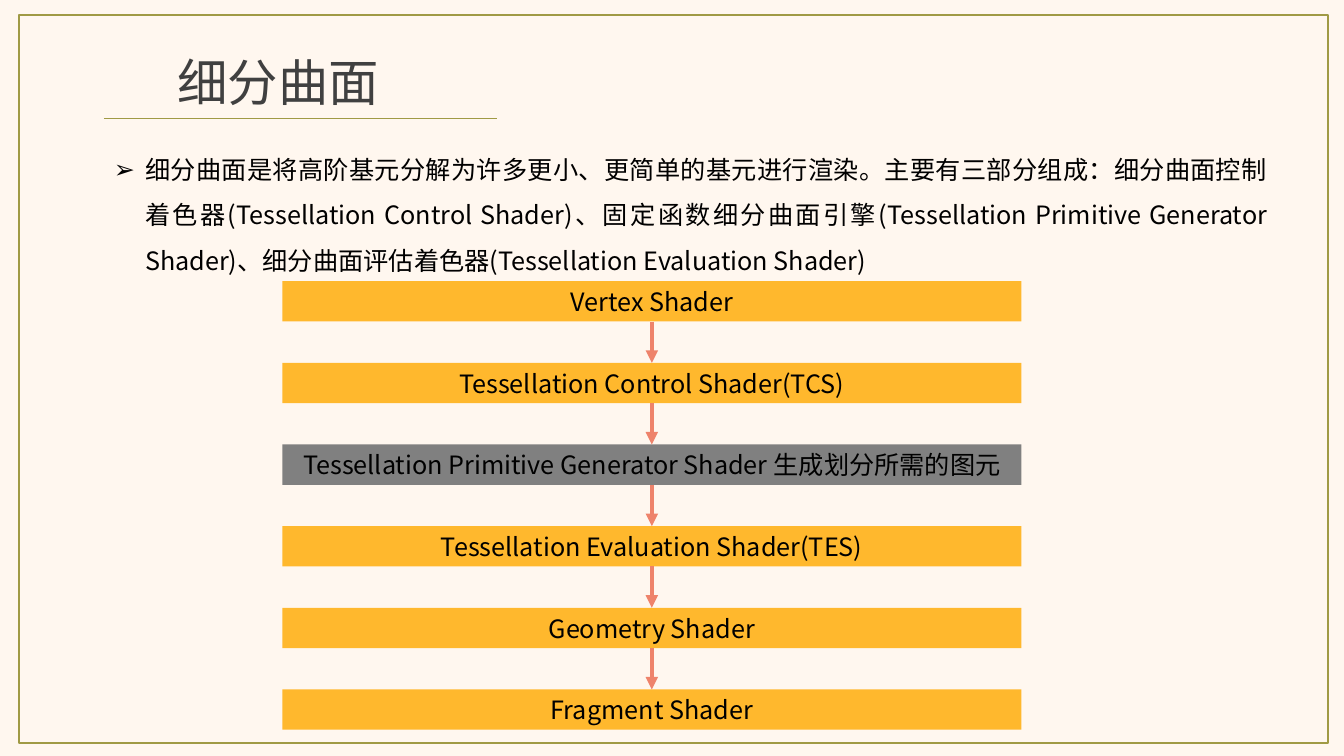
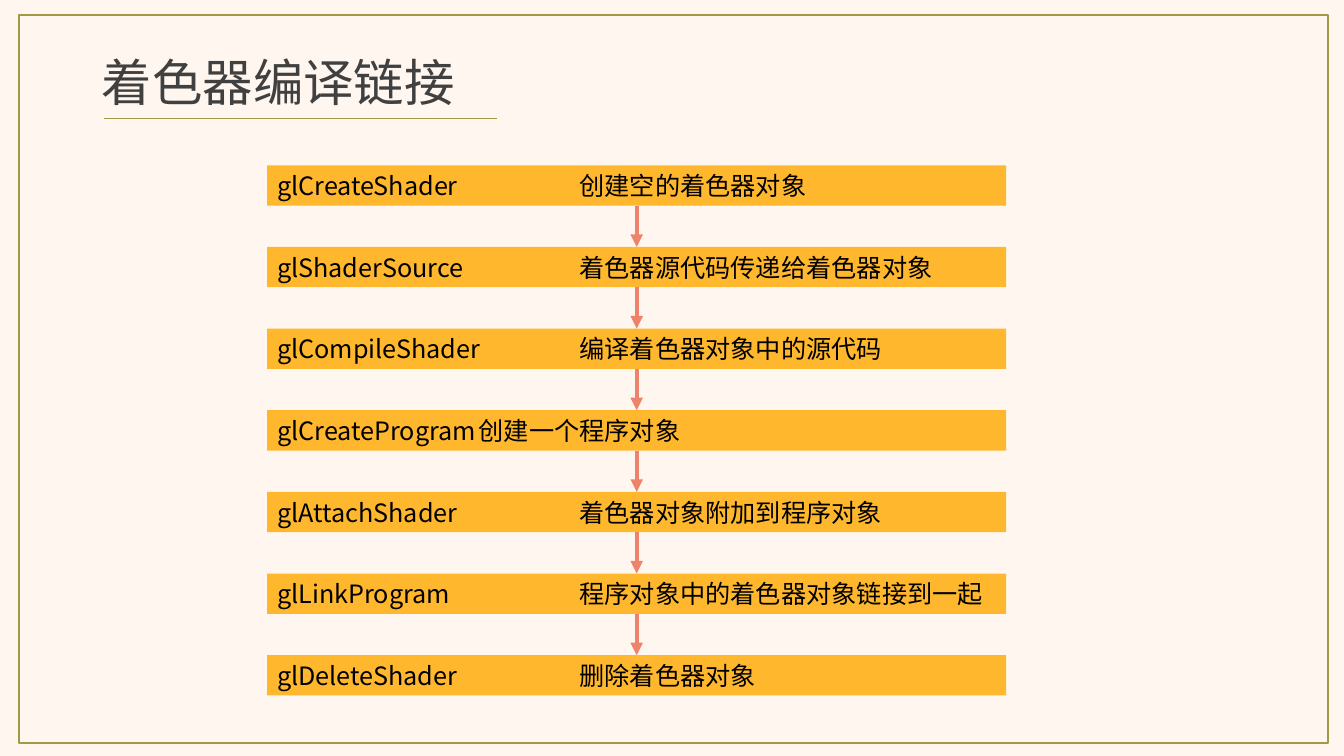
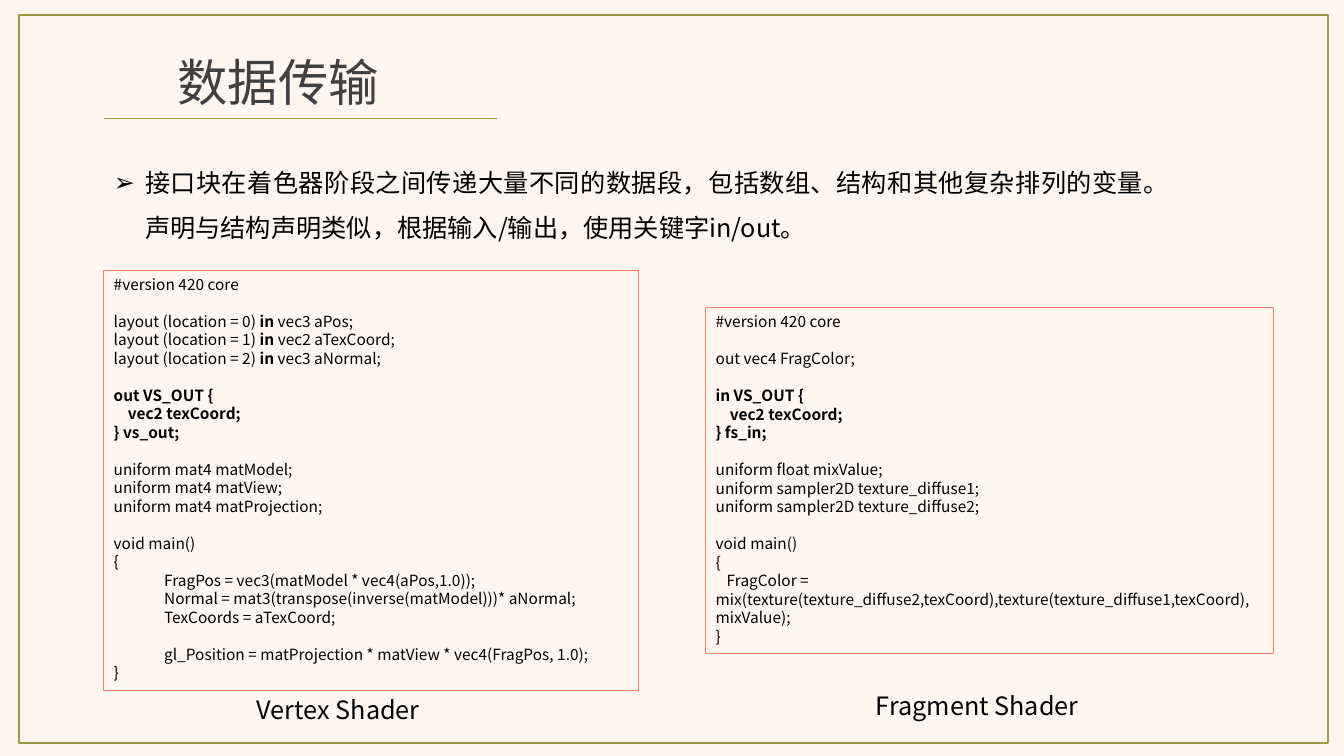
from dataclasses import dataclass

from lxml import etree
from pptx import Presentation, util as u
from pptx.dml.color import RGBColor
from pptx.enum import shapes, text
from pptx.oxml import ns


@dataclass(frozen=True)
class Theme:
    font: str = "Noto Sans CJK SC"
    background: str = "FFF7EF"
    frame: str = "A09A45"
    accent: str = "EE836B"
    step: str = "FFB82D"
    fixed_step: str = "808080"
    title: str = "404040"
    ink: str = "000000"
    title_size: float = 36
    body_size: float = 18
    code_size: float = 11
    code_gap: float = 13.2


THEME = Theme()
TITLE_ONLY, TITLE_AND_BODY = 5, 1
STEP_WIDTH, STEP_HEIGHT, STEP_PITCH = 7.33, 0.4, 0.81

PIPELINE = [
    "Vertex Shader",
    "Tessellation Control Shader(TCS)",
    "Tessellation Primitive Generator Shader 生成划分所需的图元",
    "Tessellation Evaluation Shader(TES)",
    "Geometry Shader",
    "Fragment Shader",
]

COMPILE_CALLS = [
    ("glCreateShader", "创建空的着色器对象", 3),
    ("glShaderSource", "着色器源代码传递给着色器对象", 3),
    ("glCompileShader", "编译着色器对象中的源代码", 3),
    ("glCreateProgram", "创建一个程序对象", 2),
    ("glAttachShader", "着色器对象附加到程序对象", 3),
    ("glLinkProgram", "程序对象中的着色器对象链接到一起", 3),
    ("glDeleteShader", "删除着色器对象", 3),
]

VERTEX_CODE = [
    [(0, "#version 420 core")],
    [
        (0, "layout (location = 0) **in** vec3 aPos;"),
        (0, "layout (location = 1)** in **vec2 aTexCoord;"),
        (0, "layout (location = 2) **in** vec3 aNormal;"),
    ],
    [(0, "**out VS_OUT {**"), (0.14, "**vec2 texCoord;**"), (0, "**} vs_out;**")],
    [
        (0, "uniform mat4 matModel;"),
        (0, "uniform mat4 matView;"),
        (0, "uniform mat4 matProjection;"),
    ],
    [
        (0, "void main()"),
        (0, "{"),
        (0.5, "FragPos = vec3(matModel * vec4(aPos,1.0));"),
        (0.5, "Normal = mat3(transpose(inverse(matModel)))* aNormal;"),
        (0.5, "TexCoords = aTexCoord;"),
    ],
    [
        (0.5, "gl_Position = matProjection * matView * vec4(FragPos, 1.0);"),
        (0, "}"),
    ],
]

FRAGMENT_CODE = [
    [(0, "#version 420 core")],
    [(0, "out vec4 FragColor;")],
    [(0, "**in VS_OUT {**"), (0.14, "**vec2 texCoord;**"), (0, "**} fs_in;**")],
    [
        (0, "uniform float mixValue;"),
        (0, "uniform sampler2D texture_diffuse1;"),
        (0, "uniform sampler2D texture_diffuse2;"),
    ],
    [
        (0, "void main()"),
        (0, "{"),
        (0.11, "FragColor = mix(texture(texture_diffuse2,texCoord),"
               "texture(texture_diffuse1,texCoord),mixValue);"),
        (0, "}"),
    ],
]


def color(value):
    return RGBColor.from_string(value)


def inches(*values):
    return [u.Inches(value) for value in values]


def add_run(paragraph, content, size=THEME.body_size, ink=THEME.ink, bold=False):
    run = paragraph.add_run()
    run.text = content
    run.font.size = u.Pt(size)
    run.font.bold = bold
    run.font.color.rgb = color(ink)
    run.font.name = THEME.font
    properties = run.font._element if hasattr(run.font, "_element") else run._r.get_or_add_rPr()
    etree.SubElement(properties, ns.qn("a:ea"), typeface=THEME.font)


def set_indent(paragraph, left, first):
    properties = paragraph._p.get_or_add_pPr()
    properties.set("marL", str(u.Inches(left)))
    properties.set("indent", str(u.Inches(first)))
    return properties


def set_tab(paragraph, position):
    tabs = etree.SubElement(paragraph._p.get_or_add_pPr(), ns.qn("a:tabLst"))
    etree.SubElement(tabs, ns.qn("a:tab"), pos=str(u.Inches(position)), algn="l")


def place(shape, left, top, width, height):
    shape.left, shape.top, shape.width, shape.height = inches(left, top, width, height)


def prepare_text(shape, wrap=True, anchor=text.MSO_ANCHOR.TOP):
    frame = shape.text_frame
    frame.word_wrap = wrap
    frame.auto_size = text.MSO_AUTO_SIZE.NONE
    frame.vertical_anchor = anchor
    return frame


def add_line(slide, start, end, ink, width, arrow=False):
    connector = slide.shapes.add_connector(
        shapes.MSO_CONNECTOR.STRAIGHT, *inches(*start, *end))
    connector.line.color.rgb = color(ink)
    connector.line.width = u.Pt(width)
    properties = connector.element.spPr
    if arrow:
        etree.SubElement(properties.find(ns.qn("a:ln")), ns.qn("a:tailEnd"), type="triangle")
    etree.SubElement(properties, ns.qn("a:effectLst"))


def add_box(slide, box, fill=None, line=None, width=1):
    shape = slide.shapes.add_shape(shapes.MSO_SHAPE.RECTANGLE, *inches(*box))
    shape.shadow.inherit = False
    if fill:
        shape.fill.solid()
        shape.fill.fore_color.rgb = color(fill)
    else:
        shape.fill.background()
    if line:
        shape.line.color.rgb = color(line)
        shape.line.width = u.Pt(width)
    else:
        shape.line.fill.background()
    return shape


def add_titled_slide(presentation, layout, title):
    slide = presentation.slides.add_slide(presentation.slide_layouts[layout])
    add_line(slide, (1.03, 1.17), (4.93, 1.17), THEME.frame, 0.5)
    add_box(slide, (0.19, 0.15, 12.98, 7.22), line=THEME.frame)
    place(slide.shapes.title, 0.89, 0.46, 3.74, 0.71)
    paragraph = prepare_text(slide.shapes.title, wrap=False).paragraphs[0]
    paragraph.alignment = text.PP_ALIGN.CENTER
    add_run(paragraph, title, THEME.title_size, THEME.title)
    return slide


def fill_body(slide, box, content):
    body = slide.placeholders[1]
    place(body, *box)
    paragraph = prepare_text(body).paragraphs[0]
    paragraph.alignment = text.PP_ALIGN.JUSTIFY
    paragraph.line_spacing = 1.5
    paragraph.space_before = u.Pt(0)
    properties = set_indent(paragraph, 0.31, -0.31)
    etree.SubElement(properties, ns.qn("a:buChar"), char="➢")
    add_run(paragraph, content)


def add_step(slide, left, top, fill, content, alignment, tab=None):
    shape = add_box(slide, (left, top, STEP_WIDTH, STEP_HEIGHT), fill=fill)
    paragraph = prepare_text(shape, anchor=text.MSO_ANCHOR.MIDDLE).paragraphs[0]
    paragraph.alignment = alignment
    if tab:
        set_tab(paragraph, tab)
    add_run(paragraph, content)


def step_tops(top, count):
    return [round(top + index * STEP_PITCH, 2) for index in range(count)]


def add_step_arrows(slide, left, tops):
    center = left + STEP_WIDTH / 2
    for upper, lower in zip(tops, tops[1:]):
        add_line(slide, (center, upper + STEP_HEIGHT), (center, lower),
                 THEME.accent, 3, arrow=True)


def add_code(slide, box, blocks):
    shape = add_box(slide, box, line=THEME.accent, width=0.75)
    frame = prepare_text(shape)
    lines = [(indent, code, block_index > 0 and line_index == 0)
             for block_index, block in enumerate(blocks)
             for line_index, (indent, code) in enumerate(block)]
    for index, (indent, code, starts_block) in enumerate(lines):
        paragraph = frame.add_paragraph() if index else frame.paragraphs[0]
        paragraph.alignment = text.PP_ALIGN.LEFT
        if starts_block:
            paragraph.space_before = u.Pt(THEME.code_gap)
        set_indent(paragraph, 0, indent)
        for part, piece in enumerate(code.split("**")):
            if piece:
                add_run(paragraph, piece, THEME.code_size, bold=part % 2 == 1)


def add_caption(slide, left, top, content):
    caption = slide.shapes.add_textbox(*inches(left, top, 2.47, 0.4))
    add_run(prepare_text(caption).paragraphs[0], content)


def build_tessellation(presentation):
    slide = add_titled_slide(presentation, TITLE_AND_BODY, "细分曲面")
    fill_body(slide, (1.03, 1.33, 11.64, 1.41),
              "细分曲面是将高阶基元分解为许多更小、更简单的基元进行渲染。主要有三部分组成："
              "细分曲面控制着色器(Tessellation Control Shader)、"
              "固定函数细分曲面引擎(Tessellation Primitive Generator Shader)、"
              "细分曲面评估着色器(Tessellation Evaluation Shader)")
    left, tops = 2.8, step_tops(2.79, len(PIPELINE))
    for top, stage in zip(tops, PIPELINE):
        fill = THEME.fixed_step if "Primitive" in stage else THEME.step
        add_step(slide, left, top, fill, stage, text.PP_ALIGN.CENTER)
    add_step_arrows(slide, left, tops)


def build_compilation(presentation):
    slide = add_titled_slide(presentation, TITLE_ONLY, "着色器编译链接")
    left, tops = 2.65, step_tops(1.64, len(COMPILE_CALLS))
    for top, (function, purpose, tab) in zip(tops, COMPILE_CALLS):
        add_step(slide, left, top, THEME.step, f"{function}\t{purpose}",
                 text.PP_ALIGN.LEFT, tab)
    add_step_arrows(slide, left, tops)


def build_data_transfer(presentation):
    slide = add_titled_slide(presentation, TITLE_AND_BODY, "数据传输")
    fill_body(slide, (1.03, 1.46, 10.42, 0.96),
              "接口块在着色器阶段之间传递大量不同的数据段，包括数组、结构和其他复杂排列的变量。"
              "声明与结构声明类似，根据输入/输出，使用关键字in/out。")
    add_code(slide, (1.03, 2.68, 5.3, 4.17), VERTEX_CODE)
    add_code(slide, (7, 3.05, 5.63, 3.43), FRAGMENT_CODE)
    add_caption(slide, 2.45, 6.84, "Vertex Shader")
    add_caption(slide, 8.59, 6.8, "Fragment Shader")


def main():
    presentation = Presentation()
    presentation.slide_width, presentation.slide_height = inches(13.33, 7.5)
    background = presentation.slide_master.background.fill
    background.solid()
    background.fore_color.rgb = color(THEME.background)
    build_tessellation(presentation)
    build_compilation(presentation)
    build_data_transfer(presentation)
    presentation.save("out.pptx")


if __name__ == "__main__":
    main()
